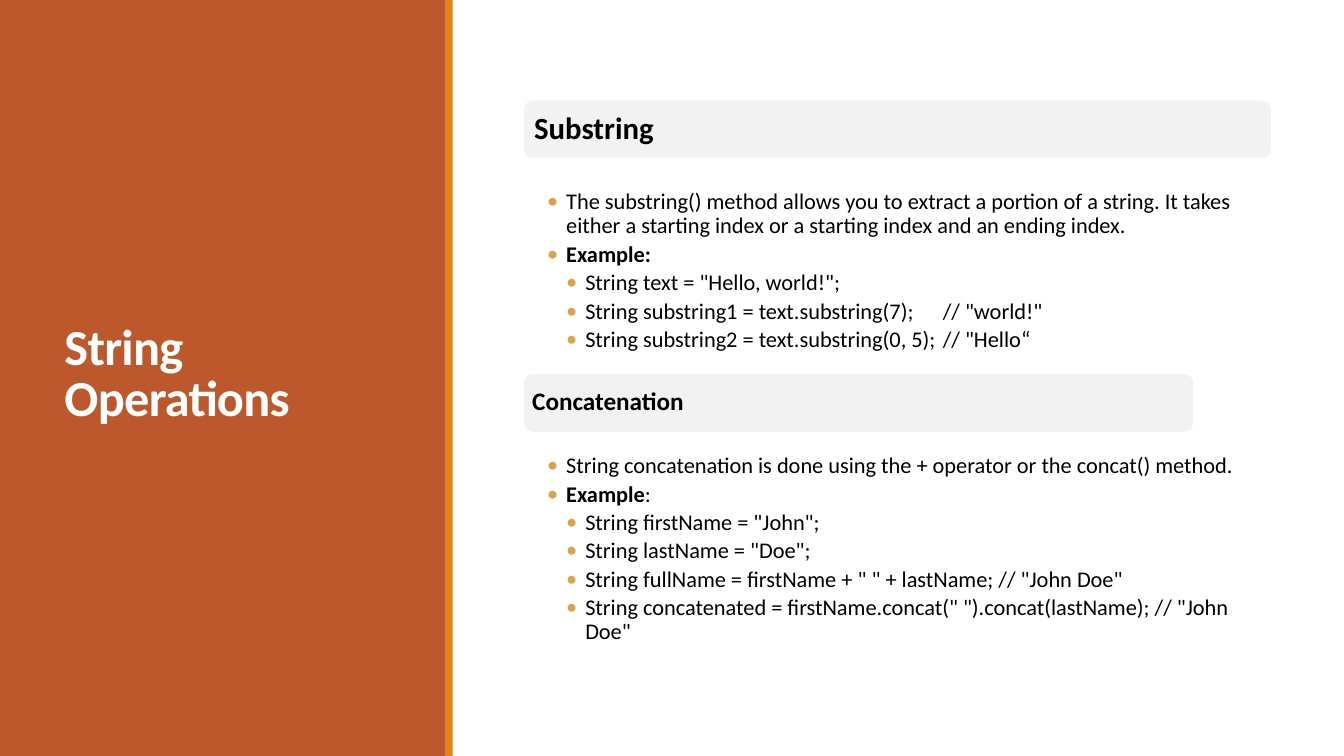
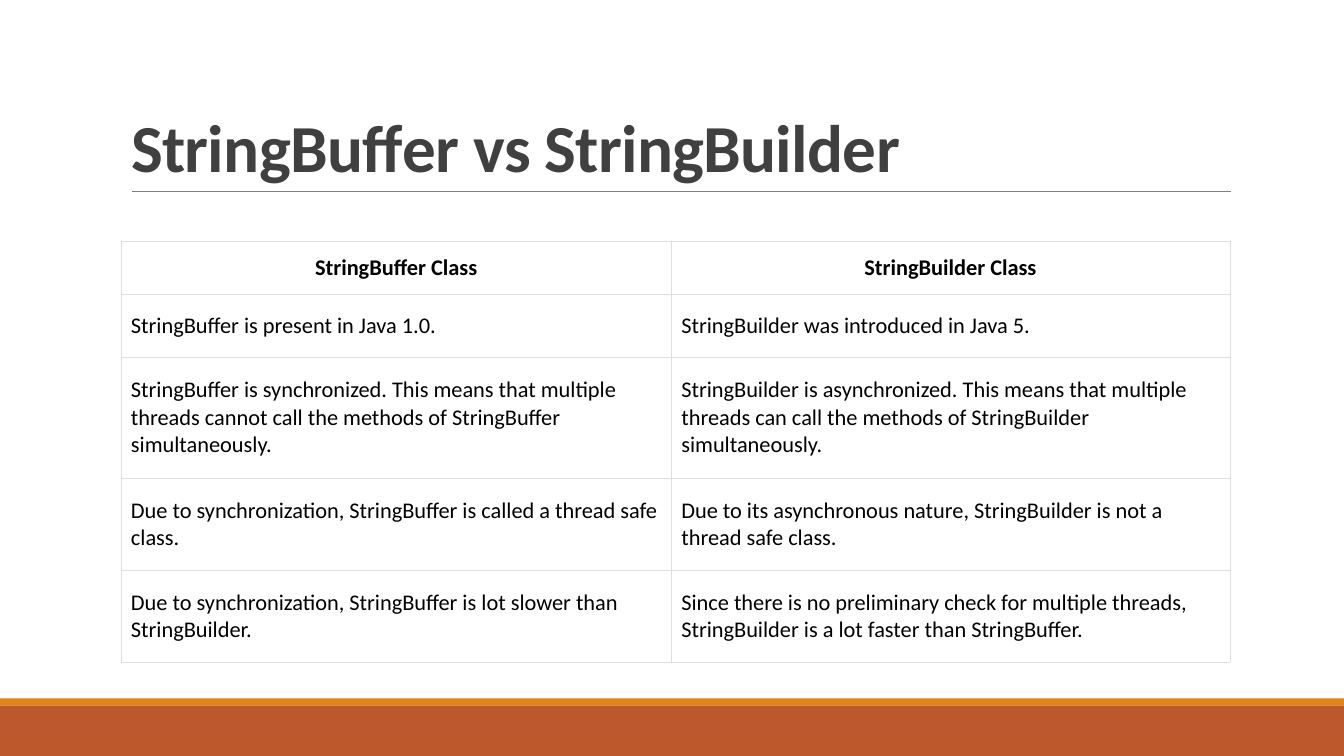
import pptx
import pptx.util
import pptx.dml.color
import pptx.enum.shapes
import pptx.enum.text
import pptx.oxml
import pptx.oxml.ns
from lxml import etree

Cm = pptx.util.Cm
Pt = pptx.util.Pt
KIND = pptx.enum.shapes.MSO_SHAPE
ALIGN = pptx.enum.text.PP_ALIGN
ANCHOR = pptx.enum.text.MSO_ANCHOR
FIT = pptx.enum.text.MSO_AUTO_SIZE

WIDE, HIGH = 33.87, 19.05
FACE = "Calibri"
HUES = {
    "rust": "BD582C", "amber": "E48312", "gold": "DDA147",
    "white": "FFFFFF", "black": "000000", "dark": "404040",
    "pale": "F2F2F2", "rule": "808080", "grid": "DFDFDF",
}
INDENT = 0.48
SIDES = ("margin_left", "margin_top", "margin_right", "margin_bottom")

SUBSTRING = [
    (1, "", "The substring() method allows you to extract a portion of a string. "
            "It takes either a starting index or a starting index and an ending index."),
    (1, "Example:", ""),
    (2, "", 'String text = "Hello, world!";'),
    (2, "", 'String substring1 = text.substring(7);\t// "world!"'),
    (2, "", 'String substring2 = text.substring(0, 5);\t// "Hello“'),
]
CONCAT = [
    (1, "", "String concatenation is done using the + operator or the concat() method."),
    (1, "Example", ":"),
    (2, "", 'String firstName = "John";'),
    (2, "", 'String lastName = "Doe";'),
    (2, "", 'String fullName = firstName + " " + lastName; // "John Doe"'),
    (2, "", 'String concatenated = firstName.concat(" ").concat(lastName); // "John Doe"'),
]
ROWS = [
    (1.35, "StringBuffer Class", "StringBuilder Class"),
    (1.57, "StringBuffer is present in Java 1.0.",
     "StringBuilder was introduced in Java 5."),
    (3.07, "StringBuffer is synchronized. This means that multiple threads "
           "cannot call the methods of StringBuffer simultaneously.",
     "StringBuilder is asynchronized. This means that multiple threads "
     "can call the methods of StringBuilder simultaneously."),
    (2.31, "Due to synchronization, StringBuffer is called a thread safe class.",
     "Due to its asynchronous nature, StringBuilder is not a thread safe class."),
    (2.31, "Due to synchronization, StringBuffer is lot slower than StringBuilder.",
     "Since there is no preliminary check for multiple threads, "
     "StringBuilder is a lot faster than StringBuffer."),
]


def hue(name):
    return pptx.dml.color.RGBColor.from_string(HUES[name])


def put(item, values):
    for key, value in values.items():
        setattr(item, key, value)


def lengths(box):
    return [Cm(part) for part in box]


def insets(*sizes):
    return dict(zip(SIDES, lengths(sizes)))


def paint(fill, name):
    fill.solid()
    fill.fore_color.rgb = hue(name)


def node(parent, tag, **attrs):
    return etree.SubElement(parent, pptx.oxml.ns.qn(tag), attrs)


def write(para, text, size, color="black", bold=False):
    run = para.add_run()
    run.text = text
    put(run.font, {"name": FACE, "size": Pt(size), "bold": bold})
    run.font.color.rgb = hue(color)
    return run


def block(slide, kind, box, color):
    shape = slide.shapes.add_shape(kind, *lengths(box))
    shape.shadow.inherit = False
    paint(shape.fill, color)
    shape.line.fill.background()
    return shape


def band(slide, box, color):
    """Draw a plain bar behind everything else."""
    bar = block(slide, KIND.RECTANGLE, box, color)
    slide.shapes._spTree.insert(2, bar._element)


def head(slide, box, text, size, color, anchor):
    title = slide.shapes.title
    put(title, dict(zip(("left", "top", "width", "height"), lengths(box))))
    put(title.text_frame, {"word_wrap": True, "auto_size": FIT.NONE,
                           "vertical_anchor": anchor})
    para = title.text_frame.paragraphs[0]
    put(para, {"alignment": ALIGN.LEFT, "line_spacing": 0.85})
    run = write(para, text, size, color, True)
    run._r.get_or_add_rPr().set("spc", "-50")


def bullet(para, level, stop):
    props = para._p.get_or_add_pPr()
    props.set("marL", str(Cm(INDENT * level)))
    props.set("indent", str(-Cm(INDENT)))
    node(node(props, "a:buClr"), "a:srgbClr", val=HUES["gold"])
    node(props, "a:buFont", typeface=FACE)
    node(props, "a:buChar", char="•")
    if stop:
        node(node(props, "a:tabLst"), "a:tab", pos=str(Cm(stop)), algn="l")


def points(slide, box, items, stop):
    frame = slide.shapes.add_textbox(*lengths(box)).text_frame
    put(frame, {"word_wrap": True, **insets(0.61, 0.05, 0.3, 0.05)})
    for index, (level, strong, plain) in enumerate(items):
        para = frame.add_paragraph() if index else frame.paragraphs[0]
        put(para, {"line_spacing": 0.9, "space_after": Pt(3)})
        bullet(para, level, stop if "\t" in plain else None)
        for text, bold in ((strong, True), (plain, False)):
            if text:
                write(para, text, 16, bold=bold)


def topic(slide, box, name, size, inset, bar, gap, items, stop=None):
    """Place a grey heading bar and its bullets inside box."""
    left, top, width, height = box
    tall = 1.5
    shape = block(slide, KIND.ROUNDED_RECTANGLE, (left, top, bar, tall), "pale")
    shape.line.color.rgb = hue("white")
    shape.line.width = Pt(1.25)
    put(shape.text_frame, {"word_wrap": True, "vertical_anchor": ANCHOR.MIDDLE,
                           **insets(inset, 0.1, inset, 0.1)})
    para = shape.text_frame.paragraphs[0]
    put(para, {"alignment": ALIGN.LEFT, "line_spacing": 0.9})
    write(para, name, size, bold=True)
    used = tall + gap
    points(slide, (left, top + used, width, height - used), items, stop)


def border(cell):
    props = cell._tc.get_or_add_tcPr()
    for side in ("a:lnL", "a:lnR", "a:lnT", "a:lnB"):
        line = node(props, side, w=str(Pt(0.25)))
        node(node(line, "a:solidFill"), "a:srgbClr", val=HUES["grid"])


def grid(slide, box, widths, rows):
    table = slide.shapes.add_table(len(rows), len(widths), *lengths(box)).table
    put(table, {"first_row": False, "horz_banding": False})
    for column, width in zip(table.columns, widths):
        column.width = Cm(width)
    for index, (height, *texts) in enumerate(rows):
        table.rows[index].height = Cm(height)
        top = index == 0
        pad = 0.25 if top else 0.38
        for spot, text in enumerate(texts):
            cell = table.cell(index, spot)
            border(cell)
            paint(cell.fill, "white")
            put(cell, {"vertical_anchor": ANCHOR.MIDDLE,
                       **insets(0.25, pad, 0.25, pad)})
            para = cell.text_frame.paragraphs[0]
            para.alignment = ALIGN.CENTER if top else ALIGN.LEFT
            write(para, text, 16, bold=top)


def rule(slide, left, top, width):
    line = slide.shapes.add_connector(
        pptx.enum.shapes.MSO_CONNECTOR.STRAIGHT,
        *lengths((left, top, left + width, top)))
    line.line.color.rgb = hue("rule")
    line.line.width = Pt(0.5)
    node(line._element.spPr, "a:effectLst")


def split(slide):
    """Build the slide with a title panel beside two topics."""
    panel, strip = 11.23, 0.18
    band(slide, (0, 0, panel, HIGH), "rust")
    band(slide, (panel, 0, strip, HIGH), "amber")
    head(slide, (1.37, 1.45, 8.56, 16.03), "String Operations", 36, "white",
         ANCHOR.MIDDLE)
    left, width = 13.18, 18.87
    topic(slide, (left, 2.51, width, 6.65), "Substring", 22, 0.21, width, 0.74,
          SUBSTRING, 9.97)
    topic(slide, (left, 9.4, width, 7.3), "Concatenation", 18, 0.16, 16.92, 0.5,
          CONCAT)


def compare(slide):
    """Build the slide with a title above a table."""
    foot, strip = 1.27, 0.18
    band(slide, (0, HIGH - foot, WIDE, foot), "rust")
    band(slide, (0, HIGH - foot - strip, WIDE, strip), "amber")
    left, width = 3.05, 27.94
    head(slide, (left, 0.79, width, 4.04), "StringBuffer vs StringBuilder", 48,
         "dark", ANCHOR.BOTTOM)
    rule(slide, 3.33, 4.83, 27.68)
    grid(slide, (left, 6.07, width, 10.61), (13.87, 14.07), ROWS)


def main():
    deck = pptx.Presentation()
    put(deck, {"slide_width": Cm(WIDE), "slide_height": Cm(HIGH)})
    for build in (split, compare):
        build(deck.slides.add_slide(deck.slide_layouts[5]))
    deck.save("out.pptx")


if __name__ == "__main__":
    main()
